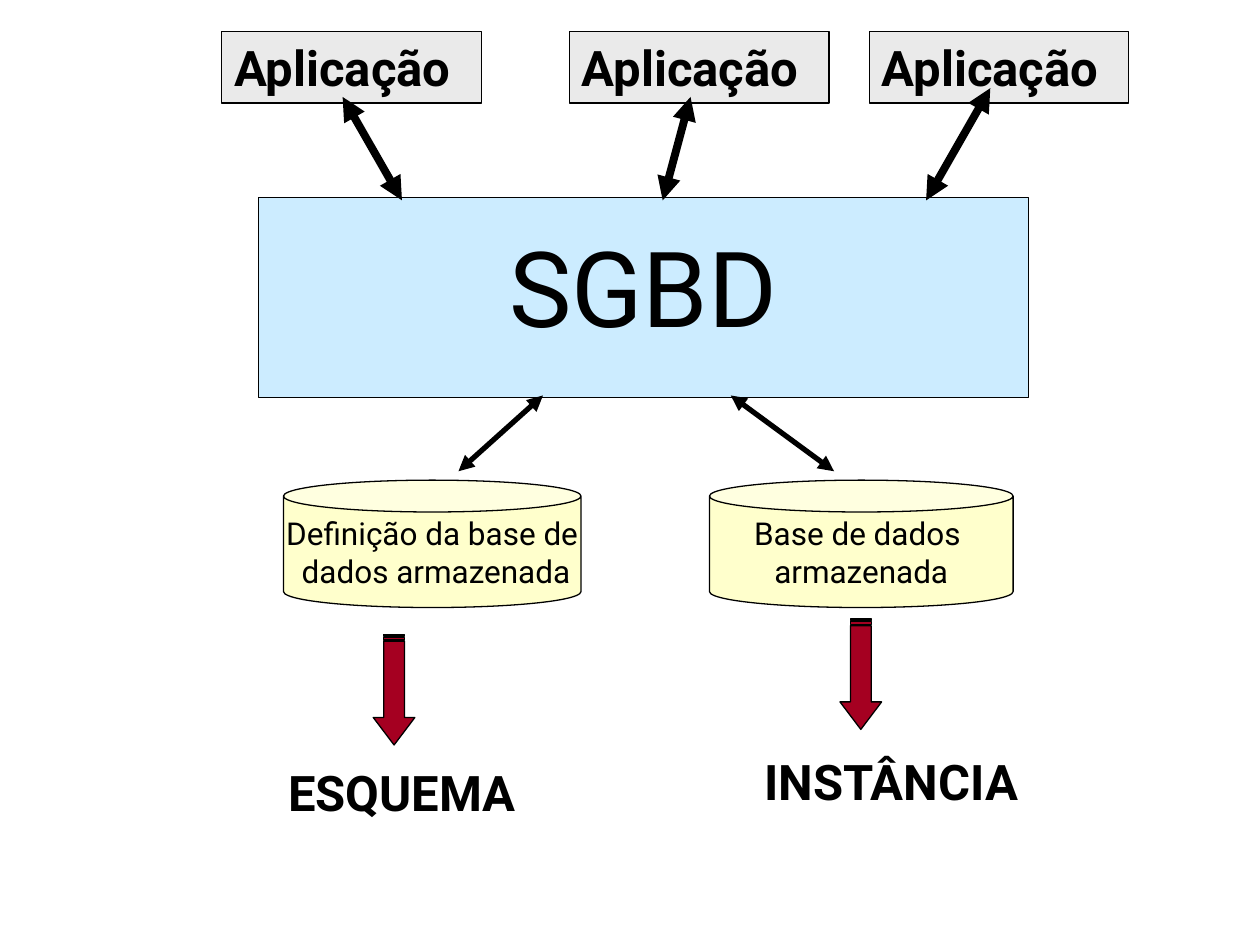
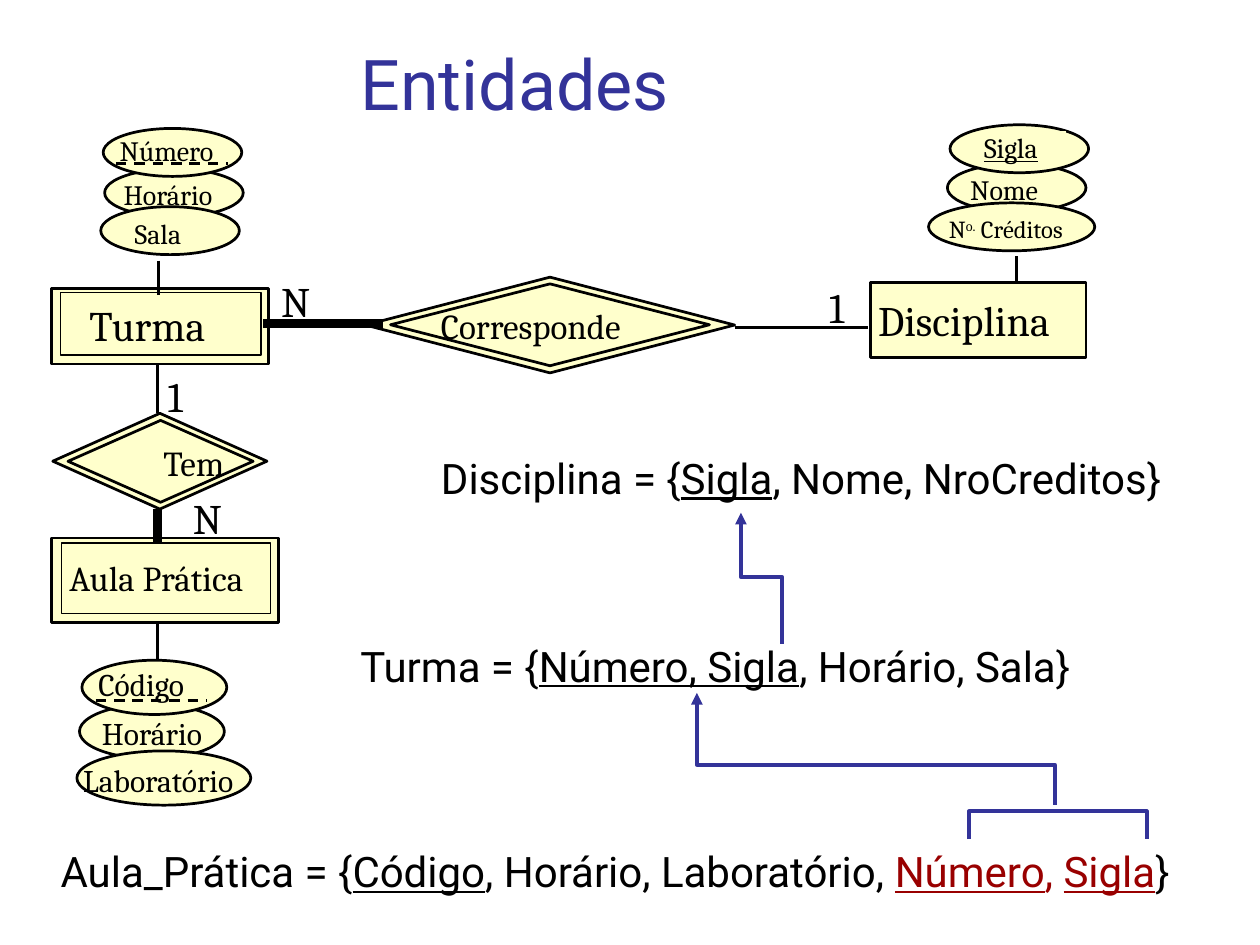
from pptx import Presentation
from pptx.dml.color import RGBColor
from pptx.enum.dml import MSO_LINE
from pptx.enum.shapes import MSO_CONNECTOR, MSO_SHAPE
from pptx.enum.text import MSO_ANCHOR, MSO_AUTO_SIZE, PP_ALIGN
from pptx.oxml.ns import qn
from pptx.util import Pt
from lxml.etree import SubElement

HUES = {"ink": "000000", "cream": "FFFFCC", "sky": "CCECFF", "gray": "EAEAEA",
        "wine": "A50021", "navy": "333399", "red": "990000"}
TONE = {name: RGBColor.from_string(code) for name, code in HUES.items()}
SANS, SERIF = "Roboto", "Cambria"


def draw(slide, kind, box, fill=None, edge=0, rows=(), size=16, font=SERIF,
         bold=False, align=PP_ALIGN.LEFT, pad=(0, 0), anchor=MSO_ANCHOR.TOP, wrap=True):
    """Add a shape, or a text box if kind is None; rows hold (text, hue, underline) runs."""
    spot = [Pt(v) for v in box]
    if kind is None:
        shape = slide.shapes.add_textbox(*spot)
    else:
        shape = slide.shapes.add_shape(kind, *spot)
        shape.shadow.inherit = False
    if fill:
        shape.fill.solid()
        shape.fill.fore_color.rgb = TONE[fill]
    else:
        shape.fill.background()
    if edge:
        shape.line.color.rgb = TONE["ink"]
        shape.line.width = Pt(edge)
    else:
        shape.line.fill.background()
    frame = shape.text_frame
    frame.word_wrap, frame.vertical_anchor = wrap, anchor
    frame.margin_left = frame.margin_right = Pt(pad[0])
    frame.margin_top = frame.margin_bottom = Pt(pad[1])
    for i, row in enumerate(rows):
        para = frame.add_paragraph() if i else frame.paragraphs[0]
        para.alignment = align
        for text, hue, under in row:
            run = para.add_run()
            run.text = text
            run.font.name, run.font.size, run.font.bold = font, Pt(size), bold
            run.font.color.rgb = TONE[hue]
            run.font.underline = under
    return shape


def link(slide, ends, width, heads=(), dash=False):
    """Add a straight black line with optional arrowheads."""
    line = slide.shapes.add_connector(MSO_CONNECTOR.STRAIGHT, *[Pt(v) for v in ends])
    line.line.color.rgb = TONE["ink"]
    line.line.width = Pt(width)
    if dash:
        line.line.dash_style = MSO_LINE.DASH
    props = line._element.spPr
    for head in heads:
        SubElement(props.find(qn("a:ln")), qn(head), type="triangle")
    SubElement(props, qn("a:effectLst"))


deck = Presentation()
deck.slide_width, deck.slide_height = Pt(720), Pt(540)
BOTH = ("a:headEnd", "a:tailEnd")
INSET = (7.2, 3.6)

# Slide 1: DBMS layers
page = deck.slides.add_slide(deck.slide_layouts[6])

# Stored data
for x, wide, words in [(162, 170, ("Definição da base de", " dados armazenada")),
                       (405.4, 173.5, ("Base de dados ", "armazenada"))]:
    can = draw(page, MSO_SHAPE.CAN, (x, 274.4, wide, 72.8), "cream", 0.75,
               [[(word, "ink", False)] for word in words], 18, SANS,
               align=PP_ALIGN.CENTER, pad=INSET, anchor=MSO_ANCHOR.MIDDLE, wrap=False)
    can.adjustments[0] = 0.25

# DBMS block, its label a little above the middle
core = draw(page, MSO_SHAPE.RECTANGLE, (147.6, 113, 440, 114), "sky", 0.75,
            [[("SGBD", "ink", False)]], 60, SANS, align=PP_ALIGN.CENTER,
            pad=INSET, anchor=MSO_ANCHOR.MIDDLE)
core.text_frame.margin_bottom = Pt(17.6)
for start, end in [(417.6, 476.6), (310.3, 262)]:
    link(page, (start, 226, end, 269.3), 3, BOTH)

# Applications
for x in (126.7, 325.4, 496.8):
    draw(page, MSO_SHAPE.RECTANGLE, (x, 18, 148.3, 41), "gray", 0.75,
         [[("Aplicação", "ink", False)]], 28, SANS, True, pad=INSET)
for x, y, end in [(195.8, 55.4, 229.7), (394.6, 55.4, 378.7), (565.9, 50.4, 529.2)]:
    link(page, (x, y, end, 114.5), 4.5, BOTH)

# Arrows down to schema and instance
for x, y, left, top, wide, word in [(193.7, 382.3, 157.7, 432, 150, "ESQUEMA"),
                                    (460.4, 373.4, 429.8, 426, 169, "INSTÂNCIA")]:
    arrow = draw(page, MSO_SHAPE.STRIPED_RIGHT_ARROW, (x, y, 63, 23.8), "wine", 0.75)
    arrow.adjustments[0], arrow.adjustments[1] = 0.5, 0.66
    arrow.rotation = 90
    draw(page, None, (left, top, wide, 41), rows=[[(word, "ink", False)]],
         size=28, font=SANS, bold=True, pad=INSET)

# Slide 2: entities
page = deck.slides.add_slide(deck.slide_layouts[5])
title = page.shapes.title
title.left, title.top, title.width, title.height = Pt(206), Pt(23), Pt(507.6), Pt(48.2)
frame = title.text_frame
frame.auto_size, frame.vertical_anchor = MSO_AUTO_SIZE.NONE, MSO_ANCHOR.BOTTOM
frame.margin_left = frame.margin_right = frame.margin_top = frame.margin_bottom = 0
frame.paragraphs[0].alignment = PP_ALIGN.LEFT
run = frame.paragraphs[0].add_run()
run.text = "Entidades"
run.font.name, run.font.size = SANS, Pt(40)
run.font.color.rgb = TONE["navy"]

# Relations: double diamonds
for outer, inner in [((30.2, 236.2, 122.4, 54.7), (38.9, 240.2, 105.8, 46.8)),
                     ((208.8, 158.4, 211, 54.7), (223.2, 162.2, 182.2, 46.8))]:
    for box in (outer, inner):
        draw(page, MSO_SHAPE.DIAMOND, box, "cream", 1.56)

# Entities: boxes, weak ones with an inner frame
for box, inner in [((497.5, 161.3, 123.1, 43.2), None),
                   ((29.5, 164.9, 123.8, 43.2), (34.6, 167, 114.5, 36)),
                   ((29.5, 307.4, 129.6, 48.2), (35.3, 310.3, 119.5, 40.3))]:
    draw(page, MSO_SHAPE.RECTANGLE, box, "cream", 1.56)
    if inner:
        draw(page, MSO_SHAPE.RECTANGLE, inner, edge=0.75)

# Lines between the parts
for *ends, width in [(581, 162, 581, 146.2, 2), (90.7, 149, 90.7, 168.5, 2),
                     (218.9, 185, 150.5, 185, 5), (419.8, 187.2, 496, 187.2, 2),
                     (90, 356.4, 90, 378, 2), (90, 290.9, 90, 310.3, 5),
                     (90, 208, 90, 236.2, 2.25)]:
    link(page, ends, width)

# Attributes: ellipse, then label place, text and size
for x, y, wide, high, left, top, word, size in [
        (59.8, 96.5, 79.2, 27.4, 70.6, 101.5, "Horário", 16),
        (57.6, 118.1, 79.2, 27.4, 77, 123.8, "Sala", 16),
        (59, 73.4, 79.2, 27.4, 68.4, 76.3, "Número", 16),
        (541.4, 93.6, 79.2, 27.4, 554.4, 98.6, "Nome", 16),
        (530.6, 115.9, 95, 27.4, 542.2, 122.4, "", 14),
        (542.9, 71.3, 79.2, 27.4, 562.3, 74.9, "Sigla", 16),
        (45.4, 402.5, 82.8, 31, 58.3, 408.2, "Horário", 18),
        (43.9, 429.1, 99.4, 31, 47.5, 434.9, "Laboratório", 18),
        (46.8, 377.3, 82.8, 31, 56.2, 380.2, "Código", 18)]:
    draw(page, MSO_SHAPE.OVAL, (x, y, wide, high), "cream", 1.56)
    key = word == "Sigla"
    runs = [(word, "ink", key)] if word else [
        (part, "ink", False) for part in ("N", "o.", " Créditos")]
    label = draw(page, MSO_SHAPE.RECTANGLE if key else None,
                 (left, top, 46.8 if key else wide + 10, 19.4),
                 "cream" if key else None, rows=[runs], size=size)
    if not word:
        raised = label.text_frame.paragraphs[0].runs[1]
        raised._r.get_or_add_rPr().set("baseline", "30000")

# Dashed underlines of partial keys
for ends in [(66.2, 93.6, 130.3, 93.6), (54.7, 400.3, 118.1, 400.3)]:
    link(page, ends, 1.5, dash=True)

# Names of entities and relations, and cardinalities
for x, y, wide, word, size in [
        (93.3, 252, 60, "Tem", 20), (252, 174.2, 124.6, "Corresponde", 20),
        (501.8, 168.5, 134, "Disciplina", 24), (51.1, 171.4, 80, "Turma", 24),
        (39.6, 318.2, 127.4, "Aula Prática", 20), (473.8, 160.6, 20.9, "1", 24),
        (160.6, 157.7, 20.9, "N", 24), (110.2, 281.5, 20.9, "N", 24),
        (95.8, 211.7, 20.9, "1", 24)]:
    draw(page, None, (x, y, wide, size * 1.2), rows=[[(word, "ink", False)]], size=size)

# Relation schemas
for x, y, wide, runs in [
        (252, 258.5, 429, [("Disciplina = {", "ink", False), ("Sigla", "ink", True),
                           (", Nome, NroCreditos}", "ink", False)]),
        (206, 365.8, 430, [("Turma = {", "ink", False), ("Número, Sigla", "ink", True),
                           (", Horário, Sala}", "ink", False)]),
        (34.6, 483.1, 669.6, [("Aula_Prática = {", "ink", False), ("Código", "ink", True),
                              (", Horário, Laboratório, ", "ink", False),
                              ("Número", "red", True), (", ", "red", False),
                              ("Sigla", "red", True), ("}", "ink", False)])]:
    draw(page, None, (x, y, wide, 28.8), rows=[runs], size=24, font=SANS)

# Foreign key paths
for points, tip in [
        ([(447.1, 367.9), (447.1, 329.8), (423.4, 329.8), (423.4, 293)], True),
        ([(602.6, 460), (602.6, 437), (398.2, 437), (398.2, 396)], True),
        ([(553.7, 479.5), (553.7, 463.7), (655.2, 463.7), (655.2, 479.5)], False)]:
    spots = [(Pt(x), Pt(y)) for x, y in points]
    pen = page.shapes.build_freeform(*spots[0])
    pen.add_line_segments(spots[1:], close=False)
    route = pen.convert_to_shape()
    route.shadow.inherit = False
    route.fill.background()
    route.line.color.rgb = TONE["navy"]
    route.line.width = Pt(2.25)
    if tip:
        SubElement(route._element.spPr.find(qn("a:ln")), qn("a:tailEnd"), type="triangle")

deck.save("out.pptx")
